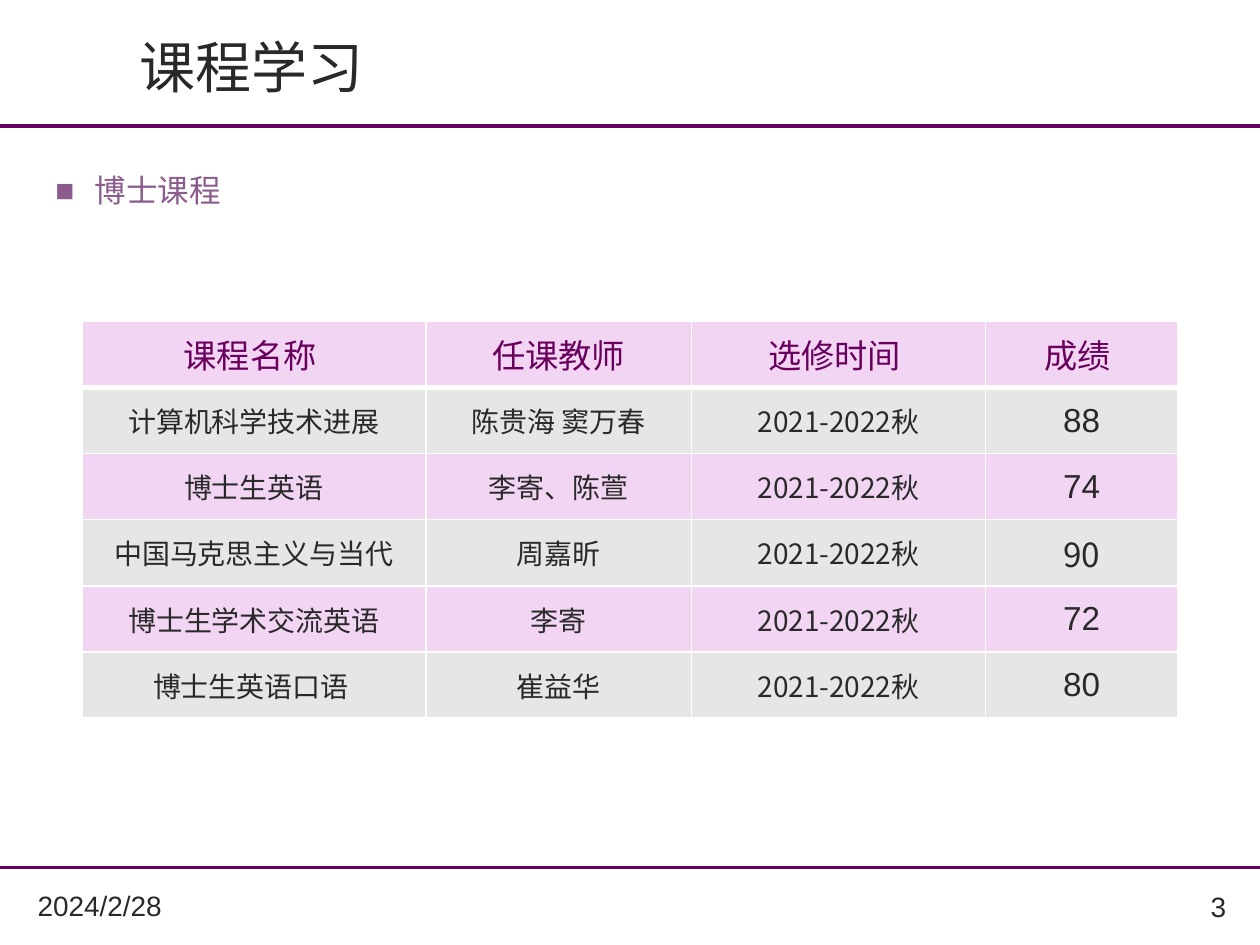
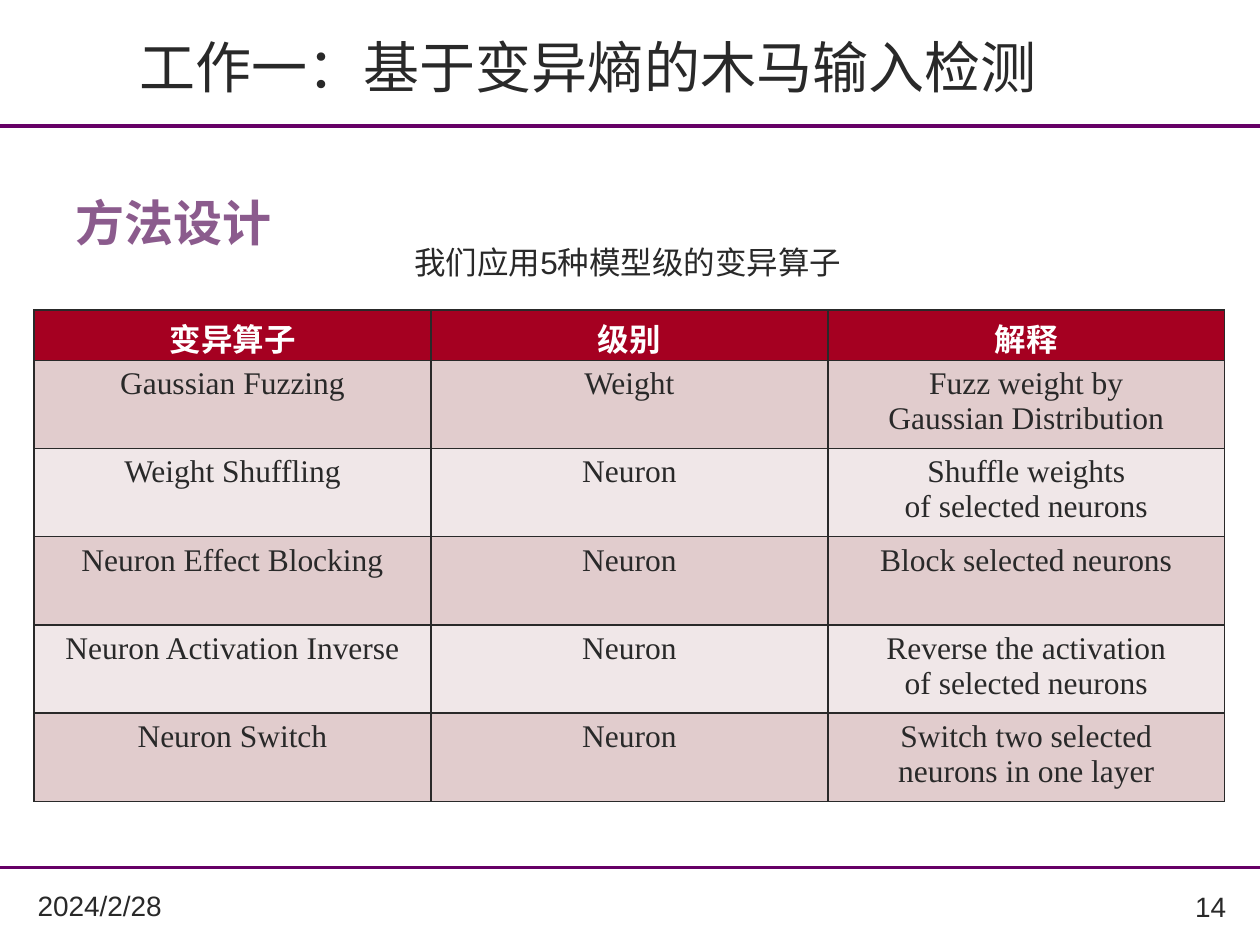
"""Build two report slides: a course table and a table of mutation operators."""
from lxml.etree import SubElement
from pptx import Presentation
from pptx.dml.color import RGBColor
from pptx.enum.shapes import MSO_SHAPE as SHAPE
from pptx.enum.text import MSO_ANCHOR as ANCHOR, MSO_AUTO_SIZE as AUTO, PP_ALIGN as ALIGN
from pptx.oxml.ns import qn
from pptx.util import Inches, Pt

PURPLE = RGBColor(0x66, 0x00, 0x66)
PLUM = RGBColor(0x69, 0x00, 0x5D)
MAUVE = RGBColor(0x8B, 0x5B, 0x8D)
INK = RGBColor(0x29, 0x29, 0x29)
WHITE = RGBColor(0xFF, 0xFF, 0xFF)
PINK = RGBColor(0xF1, 0xD5, 0xF3)
GREY = RGBColor(0xE6, 0xE6, 0xE6)
RED = RGBColor(0xA5, 0x00, 0x21)
ROSE = RGBColor(0xE1, 0xCC, 0xCD)
PALE = RGBColor(0xF0, 0xE7, 0xE8)
SANS, ARIAL, TIMES = "Noto Sans CJK SC", "Arial", "Times New Roman"


def write(frame, text, size=18, font=SANS, color=INK, bold=False,
          align=ALIGN.LEFT, space=1.0, bullet=None):
    """Fill a text frame, one paragraph a line."""
    frame.word_wrap = True
    for i, line in enumerate(text.split("\n")):
        par = frame.add_paragraph() if i else frame.paragraphs[0]
        props = par._p.get_or_add_pPr()
        indent = Inches(0.31) if bullet else 0
        props.set("marL", str(indent))
        props.set("indent", str(-indent))
        if bullet:
            SubElement(props, qn("a:buChar")).set("char", bullet)
        else:
            SubElement(props, qn("a:buNone"))
        par.alignment = align
        par.line_spacing = space
        par.space_before = par.space_after = Pt(0)
        run = par.add_run()
        run.text = line
        run.font.size = Pt(size)
        run.font.name = font
        run.font.bold = bold
        run.font.color.rgb = color
        SubElement(run._r.get_or_add_rPr(), qn("a:ea")).set("typeface", SANS)


def style(cell, fill, line, base=1):
    """Give a cell its borders and then its fill."""
    props = cell._tc.get_or_add_tcPr()
    for side in "LRTB":
        width = Pt(base if side == "B" else 1)
        edge = SubElement(props, qn(f"a:ln{side}"), w=str(width))
        solid = SubElement(edge, qn("a:solidFill"))
        SubElement(solid, qn("a:srgbClr"), val=str(line))
    cell.fill.solid()
    cell.fill.fore_color.rgb = fill


deck = Presentation()
deck.slide_width, deck.slide_height = Inches(10), Inches(7.5)

TERM = "2021-2022秋"
COURSES = [
    ("课程名称 ", "任课教师", "选修时间 ", "成绩 "),
    ("计算机科学技术进展", "陈贵海 窦万春", TERM, "88"),
    ("博士生英语", "李寄、陈萱", TERM, "74"),
    ("中国马克思主义与当代", "周嘉昕", TERM, "90"),
    ("博士生学术交流英语", "李寄", TERM, "72"),
    ("博士生英语口语 ", "崔益华", TERM, "80"),
]
METHODS = [
    ("变异算子", "级别", "解释"),
    ("Gaussian Fuzzing", "Weight", "Fuzz weight by\nGaussian Distribution"),
    ("Weight Shuffling", "Neuron", "Shuffle weights\nof selected neurons"),
    ("Neuron Effect Blocking", "Neuron", "Block selected neurons"),
    ("Neuron Activation Inverse", "Neuron", "Reverse the activation\nof selected neurons"),
    ("Neuron Switch", "Neuron", "Switch two selected\nneurons in one layer"),
]
PAGES = [
    ("课程学习", 6.95, "3", "博士课程", (0.34, 1.31, 5.09, 0.4),
     dict(bullet="■")),
    ("工作一：基于变异熵的木马输入检测", 8.03, "14", "方法设计",
     (0.5, 1.21, 9.01, 0.77), dict(size=28, bold=True, space=1.7)),
]

slides = []
for title, wide, page, head, area, look in PAGES:
    slide = deck.slides.add_slide(deck.slide_layouts[1])
    slides.append(slide)
    for top, high in ((6.83, 0.11), (0.94, 0.12)):
        band = slide.shapes.add_shape(
            SHAPE.MATH_MINUS, Inches(-1.82), Inches(top), Inches(13.64), Inches(high))
        band.shadow.inherit = False
        band.fill.solid()
        band.fill.fore_color.rgb = PURPLE
        band.line.fill.background()
    name, body = slide.placeholders
    for box, place in ((name, (0.91, 0.22, wide, 0.61)), (body, area)):
        box.left, box.top, box.width, box.height = map(Inches, place)
        box.text_frame.auto_size = AUTO.NONE
        box.text_frame.vertical_anchor = ANCHOR.MIDDLE
    name.text_frame.margin_left = Inches(0.2)
    write(name.text_frame, title, size=32)
    write(body.text_frame, head, color=MAUVE, **look)
    for text, place, align in (
            ("2024/2/28", (0.2, 6.99, 1.56, 0.39), ALIGN.LEFT),
            (page, (8.81, 7.02, 1.02, 0.34), ALIGN.RIGHT)):
        foot = slide.shapes.add_textbox(*map(Inches, place)).text_frame
        foot.vertical_anchor = ANCHOR.MIDDLE
        write(foot, text, size=16, font=ARIAL, align=align)

table = slides[0].shapes.add_table(
    6, 4, Inches(0.65), Inches(2.55), Inches(8.7), Inches(3.15)).table
for col, width in zip(table.columns, (2.73, 2.11, 2.33, 1.53)):
    col.width = Inches(width)
for r, row in enumerate(COURSES):
    for c, text in enumerate(row):
        cell = table.cell(r, c)
        style(cell, GREY if r % 2 else PINK, WHITE, base=1 if r else 3)
        cell.vertical_anchor = ANCHOR.MIDDLE
        large = r == 0 or c == 3
        write(cell.text_frame, text, size=19 if large else 16,
              font=ARIAL if large and text != "90" else SANS,
              color=INK if r else PLUM, align=ALIGN.CENTER)

note = slides[1].shapes.add_textbox(
    Inches(3.19), Inches(1.88), Inches(3.94), Inches(0.4)).text_frame
write(note, "我们应用5种模型级的变异算子", font=ARIAL)

table = slides[1].shapes.add_table(
    6, 3, Inches(0.27), Inches(2.46), Inches(9.45), Inches(3.9)).table
for r, row in enumerate(METHODS):
    table.rows[r].height = Inches(0.7 if r else 0.4)
    for c, text in enumerate(row):
        cell = table.cell(r, c)
        style(cell, (ROSE if r % 2 else PALE) if r else RED, INK)
        cell.margin_top = Inches(0.05 if r else 0.04)
        cell.margin_bottom = 0
        write(cell.text_frame, text, font=TIMES if r else ARIAL,
              color=INK if r else WHITE, bold=r == 0, align=ALIGN.CENTER)

deck.save("out.pptx")
